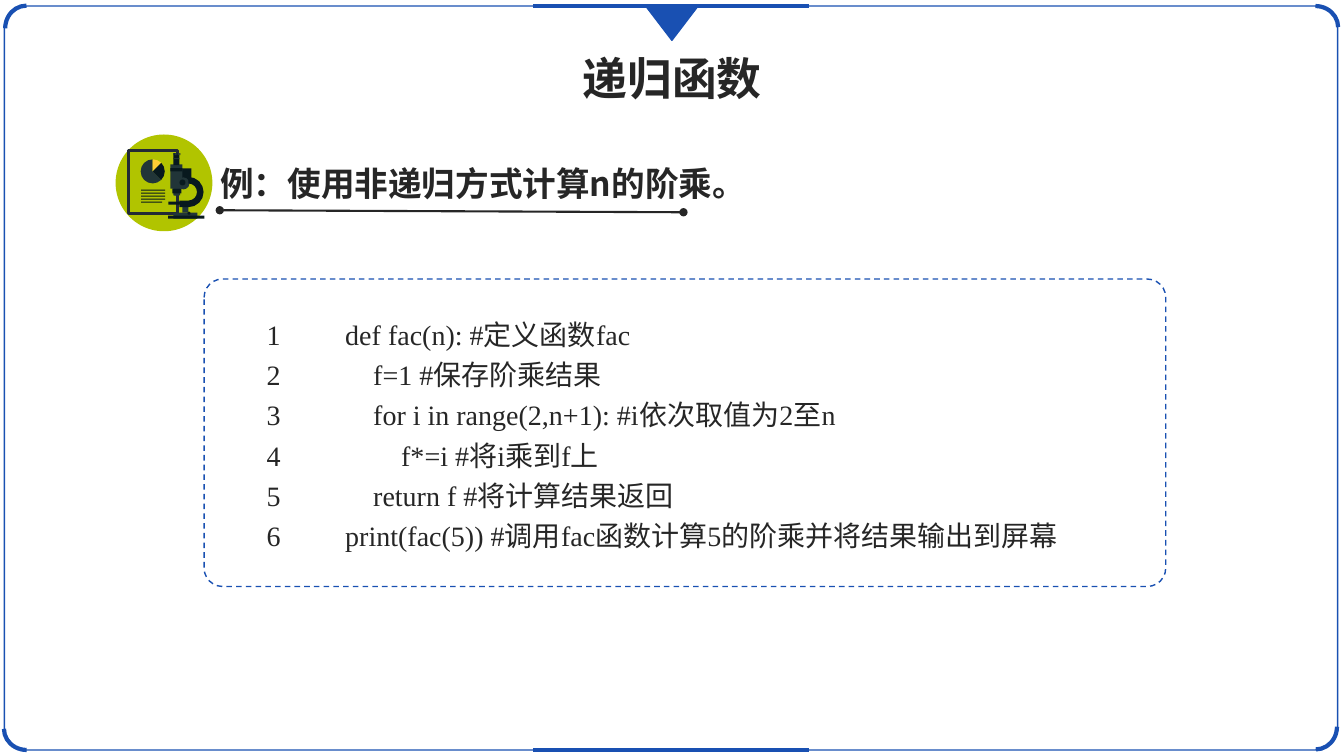
"""Build a slide on computing a factorial without recursion."""
from math import cos, radians, sin
from pptx import Presentation
from pptx.dml.color import RGBColor as RGB
from pptx.enum.dml import MSO_LINE as DASH
from pptx.enum.shapes import MSO_CONNECTOR as CON, MSO_SHAPE as KIND
from pptx.enum.text import MSO_AUTO_SIZE as FIT, PP_ALIGN as AL
from pptx.oxml.ns import qn
from pptx.util import Pt
from lxml.etree import SubElement as Sub

BLUE = RGB(0x19, 0x50, 0xB2)
INK = RGB(0x26, 0x26, 0x26)
LIME = RGB(0xB1, 0xC4, 0x00)
NAVY = RGB(0x22, 0x2A, 0x35)
SLATE = RGB(0x21, 0x35, 0x38)
DARK = RGB(0x08, 0x19, 0x1E)
GOLD = RGB(0xFF, 0xCE, 0x35)
SANS, SERIF = "Noto Sans CJK SC", "Times New Roman"

TITLE = "递归函数"
TASK = "例：使用非递归方式计算n的阶乘。"
CODE = [
    "def fac(n): #定义函数fac",
    "    f=1 #保存阶乘结果",
    "    for i in range(2,n+1): #i依次取值为2至n",
    "        f*=i #将i乘到f上",
    "    return f #将计算结果返回",
    "print(fac(5)) #调用fac函数计算5的阶乘并将结果输出到屏幕",
]
CORNERS = [(18.8, 20.2, 270), (19, 520.6, 180), (939.6, 19.4, 0), (939.9, 519.1, 90)]
EDGES = [4.3, 535.7]
PIE = [(45, 270, SLATE), (270, 315, GOLD), (315, 405, DARK)]
NOTES = [(135.4 + 2.16 * i, 17.3 if i < 4 else 15.1) for i in range(5)]
BODY = [
    (KIND.RECTANGLE, 123.8, 151.9, 17.3, 4.3, SLATE),
    (KIND.RECTANGLE, 128.2, 120.2, 8.6, 10.8, DARK),
    (KIND.RECTANGLE, 130.3, 145.4, 4.3, 6.5, SLATE),
    (KIND.RECTANGLE, 123.8, 131, 5, 8.6, SLATE),
    (KIND.RECTANGLE, 123.1, 134.6, 6.5, 3.6, DARK),
    (KIND.RECTANGLE, 121.7, 117.4, 8.6, 17.3, SLATE),
    (KIND.RECTANGLE, 123.8, 109.4, 4.3, 8.6, DARK),
    (KIND.OVAL, 126.7, 126.7, 8.6, 8.6, SLATE),
    (KIND.RECTANGLE, 120.2, 144, 10.8, 2.2, DARK),
]
DETAIL = [
    (KIND.OVAL, 128.2, 128.2, 4.3, 4.3, DARK),
    (KIND.RECTANGLE, 120.2, 154.1, 25.9, 2.2, DARK),
    (KIND.OVAL, 133.9, 151.2, 2.2, 2.2, DARK),
    (KIND.RECTANGLE, 123.8, 113, 4.3, 0.7, SLATE),
    *[(KIND.RECTANGLE, 123.8 + 1.08 * i, 109.4, 0.7, 1.4, SLATE) for i in range(5)],
    (KIND.RECTANGLE, 121.7, 120.2, 8.6, 2.2, DARK),
    (KIND.RECTANGLE, 124.6, 139, 2.9, 0.7, SLATE),
]

deck = Presentation()
deck.slide_width, deck.slide_height = Pt(960), Pt(540)
slide = deck.slides.add_slide(deck.slide_layouts[6])
page = slide.shapes


def paint(item, fill=None, line=None, width=1):
    item.shadow.inherit = False
    if fill is None:
        item.fill.background()
    else:
        item.fill.solid()
        item.fill.fore_color.rgb = fill
    if line is None:
        item.line.fill.background()
    else:
        item.line.color.rgb = line
        item.line.width = Pt(width)
    return item


def shape(home, kind, x, y, w, h, fill=None, **look):
    return paint(home.add_shape(kind, Pt(x), Pt(y), Pt(w), Pt(h)), fill, **look)


def rule(x1, y1, x2, y2, color, width, ends=None):
    item = page.add_connector(CON.STRAIGHT, Pt(x1), Pt(y1), Pt(x2), Pt(y2))
    item.line.color.rgb = color
    item.line.width = Pt(width)
    if ends:
        for tag in ("a:headEnd", "a:tailEnd"):
            Sub(item.line._get_or_add_ln(), qn(tag), type=ends)
    Sub(item._element.spPr, qn("a:effectLst"))


def arc(x, y, r, start, end):
    steps = max(2, abs(end - start) // 22)
    turns = [radians(start + (end - start) * i / steps) for i in range(steps + 1)]
    return [(x + r * cos(t), y + r * sin(t)) for t in turns]


def outline(home, dots, fill):
    dots = [(Pt(x), Pt(y)) for x, y in dots]
    pen = home.build_freeform(*dots[0])
    pen.add_line_segments(dots[1:])
    paint(pen.convert_to_shape(), fill)


def write(text, x, y, w, h, size, font, bold=False, align=AL.LEFT, wrap=True,
          pad=(7.2, 3.6), space=None, indent=0, tab=None):
    frame = page.add_textbox(Pt(x), Pt(y), Pt(w), Pt(h)).text_frame
    frame.word_wrap = wrap
    frame.auto_size = FIT.SHAPE_TO_FIT_TEXT
    frame.margin_left = frame.margin_right = Pt(pad[0])
    frame.margin_top = frame.margin_bottom = Pt(pad[1])
    for i, words in enumerate(text.split("\n")):
        para = frame.paragraphs[0] if i == 0 else frame.add_paragraph()
        para.alignment = align
        if space:
            para.line_spacing = space
        props = para._p.get_or_add_pPr()
        if indent:
            props.set("marL", "0")
            props.set("indent", str(Pt(indent)))
        if tab:
            props.set("defTabSz", str(Pt(tab)))
            Sub(Sub(props, qn("a:tabLst")), qn("a:tab"), pos=str(Pt(tab)), algn="l")
        run = para.add_run()
        run.text = words
        run.font.size, run.font.bold, run.font.name = Pt(size), bold, font
        run.font.color.rgb = INK
        Sub(run._r.get_or_add_rPr(), qn("a:ea"), typeface=SANS)


border = shape(page, KIND.ROUNDED_RECTANGLE, 3.1, 4.3, 952.4, 531.4, line=BLUE)
border.adjustments[0] = 0.03
for x, y, turn in CORNERS:
    bend = shape(page, KIND.ARC, x - 16.2, y - 15.1, 32.4, 30.2, line=BLUE, width=3)
    bend.rotation = turn
for y in EDGES:
    rule(380.9, y, 578.2, y, BLUE, 3)
mark = shape(page, KIND.ISOSCELES_TRIANGLE, 461.2, 4.3, 37.4, 24.5, BLUE, line=BLUE)
mark.rotation = 180

write(TITLE, 408.2, 32.8, 144, 46.1, 32, SANS, bold=True, align=AL.CENTER, wrap=False)
write(TASK, 150.3, 112.7, 409.7, 36, 24, SANS, bold=True)
rule(157, 150.2, 488.2, 151.6, INK, 1.5, ends="oval")

icon = page.add_group_shape().shapes
shape(icon, KIND.OVAL, 82.6, 96.1, 69.1, 69.1, LIME)
shape(icon, KIND.RECTANGLE, 91.6, 107.3, 35, 45.4, line=NAVY, width=2)
for start, end, color in PIE:
    outline(icon, [(109.1, 122.4)] + arc(109.1, 122.4, 8.6, start, end), color)
for y, wide in NOTES:
    shape(icon, KIND.RECTANGLE, 100.8, y, wide, 0.7, DARK)
for part in BODY:
    shape(icon, *part)
curve = arc(134.6, 137.2, 10.8, -90, 90) + [(128.2, 148), (128.2, 143.3)]
outline(icon, curve + arc(134.6, 137.2, 6.1, 90, -90), DARK)
for part in DETAIL:
    shape(icon, *part)

panel = shape(page, KIND.ROUNDED_RECTANGLE, 145.8, 199.3, 686.9, 219.6, line=BLUE)
panel.adjustments[0] = 0.06
panel.line.dash_style = DASH.DASH
lines = "\n".join(f"{i}\t{code}" for i, code in enumerate(CODE, 1))
write(lines, 170.3, 219.6, 643, 179.3, 20, SERIF, pad=(4.3, 2.2), space=1.2,
      indent=15.8, tab=72)

deck.save("out.pptx")
